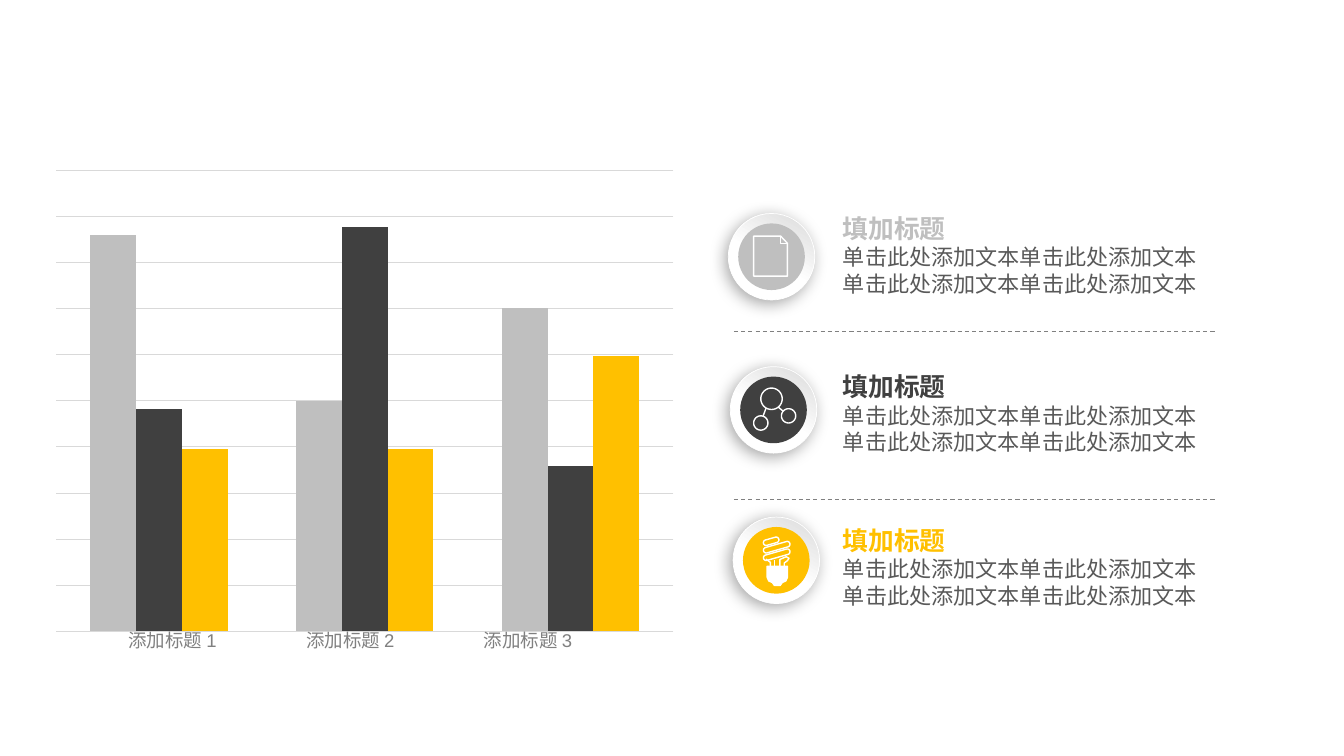
import math

import pptx
import pptx.chart.data
import pptx.dml.color
import pptx.enum.chart
import pptx.enum.dml
import pptx.enum.shapes
import pptx.enum.text
import pptx.oxml
import pptx.oxml.ns
import pptx.util

Cm, Pt = pptx.util.Cm, pptx.util.Pt
OVAL = pptx.enum.shapes.MSO_SHAPE.OVAL
SILVER, CHARCOAL, AMBER, WHITE = "BFBFBF", "404040", "FFC000", "FFFFFF"
CJK = "Noto Sans CJK SC"
BODY = "单击此处添加文本单击此处添加文本"
BADGE, DISC = 2.18, 1.68
DRAWING = 'xmlns:a="http://schemas.openxmlformats.org/drawingml/2006/main"'


def rgb(code):
    return pptx.dml.color.RGBColor.from_string(code)


def add_effects(shape, content=""):
    """Replace the themed shadow by the given effects."""
    properties = shape._element.spPr
    for old in properties.findall(pptx.oxml.ns.qn("a:effectLst")):
        properties.remove(old)
    properties.append(pptx.oxml.parse_xml(f"<a:effectLst {DRAWING}>{content}</a:effectLst>"))


def paint(shape, fill=None, line=None, width=1):
    shape.shadow.inherit = False
    for part, color in ((shape.fill, fill), (shape.line.fill, line)):
        if color:
            part.solid()
            part.fore_color.rgb = rgb(color)
        else:
            part.background()
    if line:
        shape.line.width = Pt(width)
    return shape


def add_circle(slide, x, y, radius, **colors):
    oval = slide.shapes.add_shape(OVAL, Cm(x - radius), Cm(y - radius), Cm(2 * radius), Cm(2 * radius))
    return paint(oval, **colors)


def add_outline(slide, left, top, contours, **colors):
    """Draw all contours as one shape; a contour that ends where it began is closed."""
    corners = [[(Cm(left + x), Cm(top + y)) for x, y in contour] for contour in contours]
    builder = slide.shapes.build_freeform(*corners[0][0])
    for number, contour in enumerate(corners):
        if number:
            builder.move_to(*contour[0])
        builder.add_line_segments(contour[1:], close=contour[0] == contour[-1])
    return paint(builder.convert_to_shape(), **colors)


def capsule(x, y, radius, length=0, tilt=0):
    """Points around a tilted bar with round ends; without length, a circle."""
    points = []
    for step in range(41):
        angle = math.tau * step / 40
        along = math.copysign(length / 2, math.cos(angle)) + radius * math.cos(angle)
        across = radius * math.sin(angle)
        points.append((x + along * math.cos(tilt) - across * math.sin(tilt),
                       y + along * math.sin(tilt) + across * math.cos(tilt)))
    return points[:-1] + points[:1]


def write(paragraph, text, size, color, font, bold=False):
    paragraph.text = text
    run = paragraph.runs[0]
    run.font.size, run.font.bold, run.font.name = Pt(size), bold, font
    run.font.color.rgb = rgb(color)
    if font == CJK:
        run._r.get_or_add_rPr().append(pptx.oxml.parse_xml(f'<a:ea {DRAWING} typeface="{font}"/>'))


def add_text_box(slide, left, top, width, height):
    frame = slide.shapes.add_textbox(Cm(left), Cm(top), Cm(width), Cm(height)).text_frame
    frame.word_wrap = True
    return frame


def draw_page(slide, left, top):
    sheet = [(.39, .32), (1.07, .32), (1.24, .5), (1.24, 1.33), (.39, 1.33), (.39, .32)]
    fold = [(1.07, .32), (1.07, .5), (1.24, .5)]
    add_outline(slide, left, top, [sheet, fold], line=WHITE)


def draw_molecule(slide, left, top):
    atoms = [capsule(*atom) for atom in ((.79, .56, .27), (.52, 1.17, .18), (1.22, .99, .18))]
    bonds = [[(.65, .8), (.58, .99)], [(.96, .77), (1.08, .87)]]
    add_outline(slide, left, top, atoms + bonds, line=WHITE)


def draw_bulb(slide, left, top):
    tubes = [capsule(x, y, .07, length, math.radians(-16))
             for x, y, length in ((.71, .36, .26), (.85, .51, .55), (.85, .7, .55))]
    legs = [[(.58, .81), (.69, .89), (.69, 1)],
            [(.79, 1), (.79, .84)],
            [(.93, 1), (.93, .82), (1.09, .75), (1.16, .79), (1.12, .85), (1.04, .91), (1.04, 1)]]
    socket = [(.61, .99), (1.12, .99), (1.12, 1.27), (1.08, 1.36), (.99, 1.4), (.94, 1.47),
              (.79, 1.47), (.74, 1.4), (.65, 1.36), (.61, 1.27), (.61, .99)]
    add_outline(slide, left, top, [socket], fill=WHITE)
    add_outline(slide, left, top, tubes + legs + [socket], line=WHITE)


def add_badge(slide, left, top, color, draw_icon):
    center_x, center_y = left + BADGE / 2, top + BADGE / 2
    ring = add_circle(slide, center_x, center_y, BADGE / 2, line=WHITE, width=.5)
    ring.fill.gradient()
    ring.fill.gradient_angle = 60
    for stop, position, shade in zip(ring.fill.gradient_stops, (.45, 1), (WHITE, "D9D9D9")):
        stop.position = position
        stop.color.rgb = rgb(shade)
    add_effects(ring, f'<a:outerShdw blurRad="{Pt(12)}" dist="{Pt(3)}" dir="8100000" algn="tr" '
                      'rotWithShape="0"><a:srgbClr val="000000"><a:alpha val="34000"/>'
                      '</a:srgbClr></a:outerShdw>')
    add_circle(slide, center_x, center_y, DISC / 2, fill=color)
    draw_icon(slide, center_x - DISC / 2, center_y - DISC / 2)


def add_description(slide, left, top, color):
    frame = add_text_box(slide, left, top, 10.19, 2.39)
    write(frame.paragraphs[0], "填加标题", 18.4, color, CJK, bold=True)
    frame.paragraphs[0].line_spacing = Pt(22.3)
    for _ in range(2):
        line = frame.add_paragraph()
        write(line, BODY, 15.8, "595959", CJK)
        line.line_spacing = Pt(18.9)


def add_divider(slide, left, top, width):
    divider = slide.shapes.add_connector(pptx.enum.shapes.MSO_CONNECTOR.STRAIGHT,
                                         Cm(left), Cm(top), Cm(left + width), Cm(top))
    divider.line.color.rgb = rgb("808080")
    divider.line.width = Pt(.75)
    divider.line.dash_style = pptx.enum.dml.MSO_LINE.DASH
    add_effects(divider)


def add_column_chart(slide, left, top, width, height):
    data = pptx.chart.data.CategoryChartData()
    data.categories = ["1", "2", "3"]
    columns = ((SILVER, (98, 57, 80)), (CHARCOAL, (55, 100, 41)), (AMBER, (45, 45, 68)))
    for number, (_, values) in enumerate(columns, 1):
        data.add_series(f"Series {number}", values)
    chart = slide.shapes.add_chart(pptx.enum.chart.XL_CHART_TYPE.COLUMN_CLUSTERED,
                                   Cm(left), Cm(top), Cm(width), Cm(height), data).chart
    chart.has_legend = chart.has_title = False
    chart.font.name, chart.font.size = "Calibri", Pt(10)
    chart.font.color.rgb = rgb("000000")
    chart.category_axis.visible = False
    scale = chart.value_axis
    scale.visible = False
    scale.minimum_scale, scale.maximum_scale, scale.major_unit = 0, 114, 11.4
    scale.major_gridlines.format.line.color.rgb = rgb("D9D9D9")
    scale.major_gridlines.format.line.width = Pt(.75)
    plot = chart.plots[0]
    plot.gap_width, plot.overlap, plot.vary_by_categories = 150, 0, False
    for series, (color, _) in zip(plot.series, columns):
        series.format.fill.solid()
        series.format.fill.fore_color.rgb = rgb(color)

    for number in range(1, 4):
        label = add_text_box(slide, left + 1.66 + 4.48 * (number - 1), top + 11.66, 3.2, .81)
        label.word_wrap = False
        label.paragraphs[0].alignment = pptx.enum.text.PP_ALIGN.CENTER
        write(label.paragraphs[0], f"添加标题 {number}", 13.2, "808080", "Arial")


def add_topics(slide, left, top):
    """Place three badges with their descriptions, and dividers between them."""
    topics = ((0, 0, -.15, SILVER, draw_page),
              (.05, 3.86, 3.84, CHARCOAL, draw_molecule),
              (.12, 7.65, 7.71, AMBER, draw_bulb))
    for shift, badge_top, text_top, color, draw_icon in topics:
        add_description(slide, left + 2.64, top + text_top, color)
        add_badge(slide, left + shift, top + badge_top, color, draw_icon)
    for divider_top in (2.98, 7.2):
        add_divider(slide, left + .14, top + divider_top, 12.17)


def main():
    deck = pptx.Presentation()
    deck.slide_width, deck.slide_height = Cm(33.88), Cm(19.05)
    slide = deck.slides.add_slide(deck.slide_layouts[6])
    add_column_chart(slide, 1.09, 4.06, 16.21, 12.09)
    add_topics(slide, 18.36, 5.38)
    deck.save("out.pptx")


if __name__ == "__main__":
    main()
